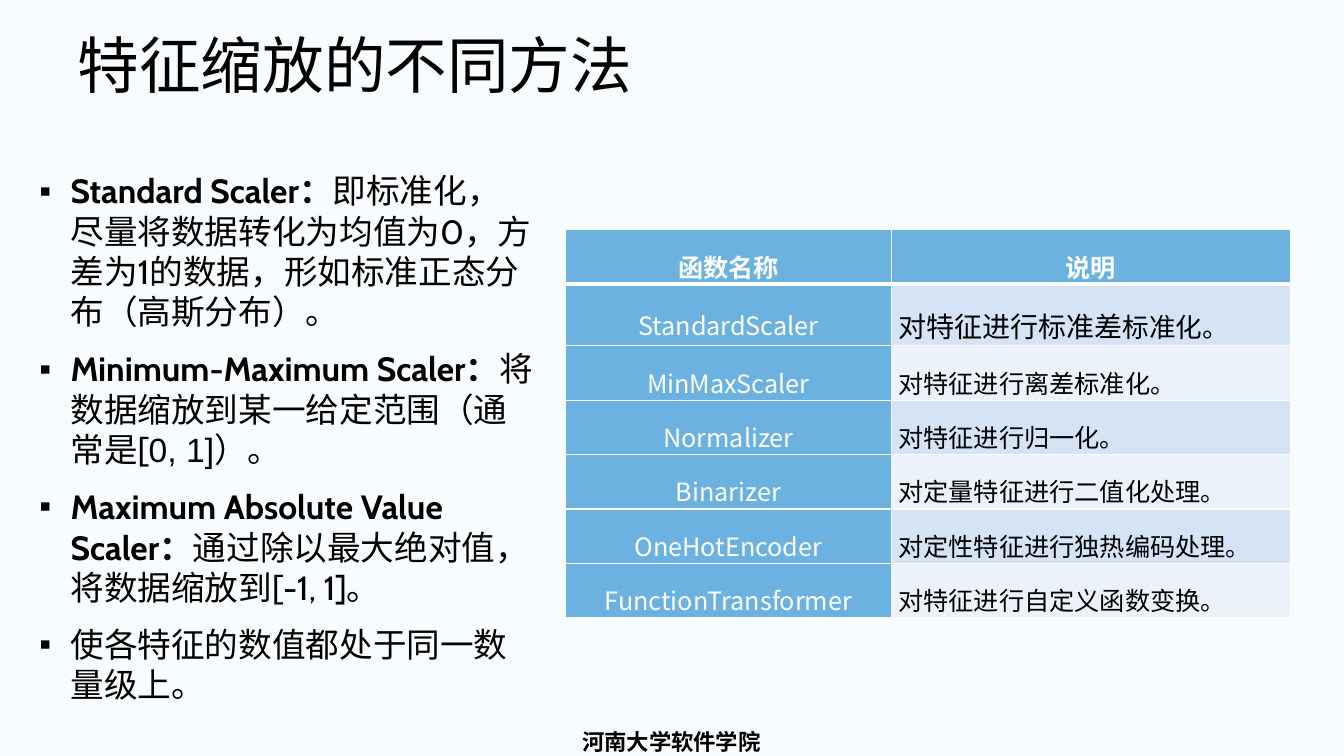
"""Build the slide on feature scaling methods with its function table."""
from lxml import etree
from pptx import Presentation
from pptx.dml.color import RGBColor
from pptx.enum.text import MSO_ANCHOR, PP_ALIGN
from pptx.oxml.ns import qn
from pptx.util import Inches, Pt


def color(hex_value):
    return RGBColor.from_string(hex_value)


def style(run, size, face, hex_value="000000", bold=False):
    run.font.size = Pt(size)
    run.font.name = face
    run.font.bold = bold
    run.font.color.rgb = color(hex_value)
    etree.SubElement(run.font._element, qn("a:ea"), typeface=face)


prs = Presentation()
prs.slide_width, prs.slide_height = Inches(13.33), Inches(7.5)
slide = prs.slides.add_slide(prs.slide_layouts[5])
slide.background.fill.solid()
slide.background.fill.fore_color.rgb = color("F8FCFE")

title = slide.shapes.title
title.left, title.top = Inches(0.67), Inches(0.3)
title.width, title.height = Inches(12), Inches(1.25)
title.text_frame.text = "特征缩放的不同方法"
title.text_frame.vertical_anchor = MSO_ANCHOR.TOP
heading = title.text_frame.paragraphs[0]
heading.alignment = PP_ALIGN.LEFT
heading.line_spacing = 0.9
style(heading.runs[0], 44, "Calibri")

methods = [
    [("Standard Scaler：", "Cabin", True),
     ("即标准化，尽量将数据转化为均值为0，方差为1的数据，形如标准正态分布（高斯分布）。", "Cabin", False)],
    [("Minimum-Maximum Scaler：", "Cabin", True),
     ("将数据缩放到某一给定范围（通常是[", "Cabin", False),
     ("0, 1]）。", "Arial", False)],
    [("Maximum Absolute Value Scaler：", "Cabin", True),
     ("通过除以最大绝对值，将数据缩放到[-1, 1]。", "Cabin", False)],
    [("使各特征的数值都处于同一数量级上。", "Cabin", False)],
]
method_list = slide.shapes.add_textbox(
    Inches(0.37), Inches(1.51), Inches(4.93), Inches(5.53)).text_frame
method_list.word_wrap = True
method_list.margin_left = method_list.margin_right = method_list.margin_bottom = 0
method_list.margin_top = Inches(0.18)
for index, parts in enumerate(methods):
    item = method_list.add_paragraph() if index else method_list.paragraphs[0]
    props = item._p.get_or_add_pPr()
    props.set("marL", str(Inches(0.33)))
    props.set("indent", str(Inches(-0.31)))
    etree.SubElement(props, qn("a:buFont"), typeface="Arial")
    etree.SubElement(props, qn("a:buChar"), char="▪")
    item.space_before = Pt(12 if index else 0)
    for words, face, bold in parts:
        run = item.add_run()
        run.text = words
        style(run, 24, face, bold=bold)

functions = [
    ("函数名称", ["说明"]),
    ("StandardScaler", ["对特征进行标准差", "标准化。"]),
    ("MinMaxScaler", ["对特征进行离差标准化。"]),
    ("Normalizer", ["对特征进行归一化。"]),
    ("Binarizer", ["对定量特征进行二值化处理。"]),
    ("OneHotEncoder", ["对定性特征进行独热编码处理。"]),
    ("FunctionTransformer", ["对特征进行自定义函数变换。"]),
]
table = slide.shapes.add_table(
    len(functions), 2, Inches(5.61), Inches(2.28), Inches(7.19), Inches(3.86)).table
table.columns[0].width, table.columns[1].width = Inches(3.23), Inches(3.96)
for row, (function, description) in enumerate(functions):
    table.rows[row].height = Inches(0.61 if row == 1 else 0.54)
    for column, parts in enumerate([[function], description]):
        cell = table.cell(row, column)
        is_body = row > 0 and column == 1
        cell.vertical_anchor = MSO_ANCHOR.MIDDLE
        cell.margin_left = cell.margin_right = Inches(0.07)
        cell.margin_top = cell.margin_bottom = 0
        line = cell.text_frame.paragraphs[0]
        line.alignment = PP_ALIGN.JUSTIFY if is_body else PP_ALIGN.CENTER
        line.line_spacing = 1.5
        sizes = (20, 19) if is_body and row == 1 else (18,)
        for words, size in zip(parts, sizes):
            run = line.add_run()
            run.text = words
            style(run, size, "Noto Sans CJK SC",
                  "000000" if is_body else "FFFFFF", row == 0)
        cell_props = cell._tc.get_or_add_tcPr()
        for side in ("L", "R", "T", "B"):
            thick = (row == 0 and side == "B") or (row == 1 and side == "T")
            border = etree.SubElement(
                cell_props, qn(f"a:ln{side}"), w=str(Pt(3 if thick else 1)))
            border_fill = etree.SubElement(border, qn("a:solidFill"))
            etree.SubElement(border_fill, qn("a:srgbClr"), val="FFFFFF")
        cell.fill.solid()
        band = "D4E4F4" if row % 2 else "EBF2F9"
        cell.fill.fore_color.rgb = color(band if is_body else "6BB2E1")

footer = slide.shapes.add_textbox(
    Inches(4.93), Inches(7.17), Inches(3.46), Inches(0.33)).text_frame
footer.word_wrap = True
footer.text = "河南大学软件学院"
footer.paragraphs[0].alignment = PP_ALIGN.CENTER
style(footer.paragraphs[0].runs[0], 16, "DejaVu Sans", bold=True)

prs.save("out.pptx")
